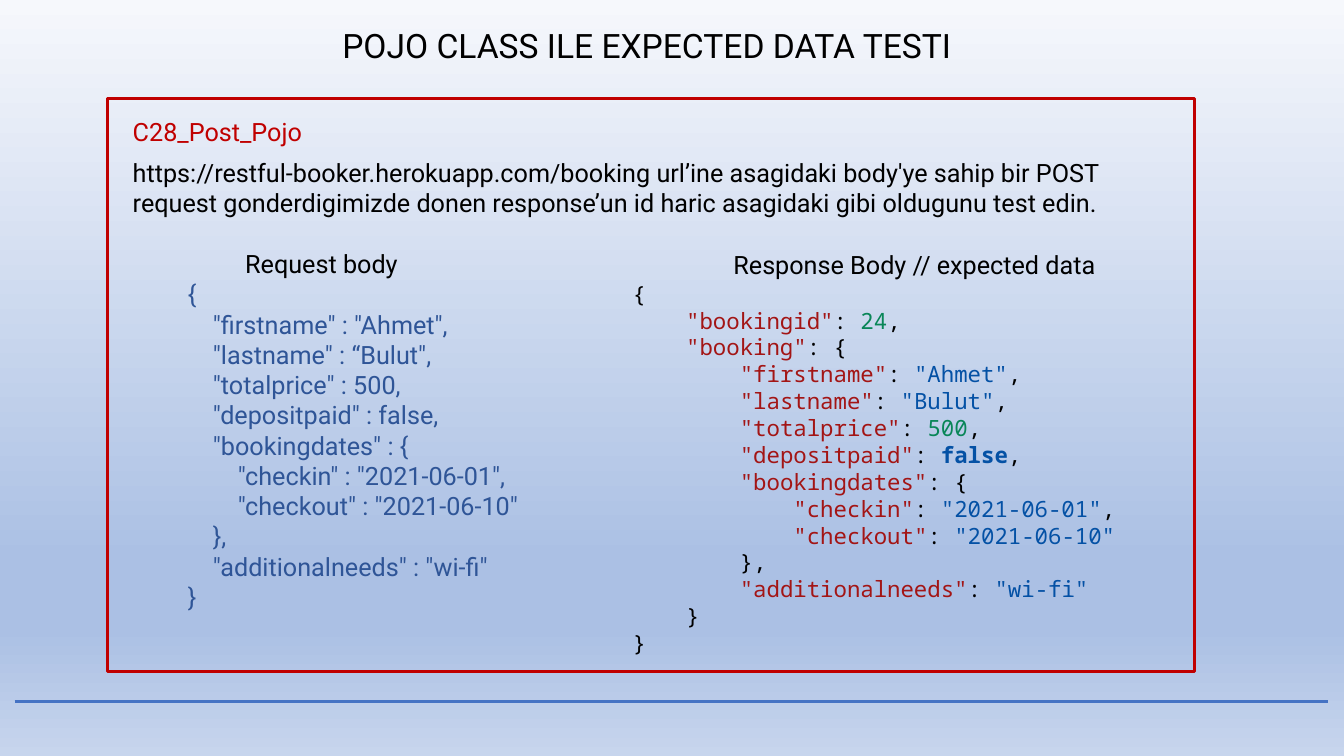
from lxml.etree import SubElement
from pptx import Presentation
from pptx.dml.color import RGBColor
from pptx.enum.shapes import MSO_CONNECTOR, MSO_SHAPE
from pptx.enum.text import PP_ALIGN
from pptx.oxml.ns import qn
from pptx.util import Pt

PX = 9525
BLACK = RGBColor(0, 0, 0)
RED = RGBColor(0xC0, 0x00, 0x00)
RULE_BLUE = RGBColor(0x44, 0x72, 0xC4)
BODY_BLUE = RGBColor(0x2F, 0x55, 0x97)
KEY_RED = RGBColor(0xA3, 0x15, 0x15)
STRING_BLUE = RGBColor(0x04, 0x51, 0xA5)
NUMBER_GREEN = RGBColor(0x09, 0x86, 0x58)
BACKGROUND_STOPS = [
    (0, RGBColor(0xF6, 0xF8, 0xFC)),
    (74, RGBColor(0xAB, 0xC0, 0xE4)),
    (83, RGBColor(0xAB, 0xC0, 0xE4)),
    (100, RGBColor(0xC7, 0xD5, 0xED)),
]
SANS = "Roboto"
MONO = "Noto Sans Mono"
HEADING_INDENT = 96

TASK = ("https://restful-booker.herokuapp.com/booking url’ine asagidaki body'ye sahip "
        "bir POST request gonderdigimizde donen response’un id haric asagidaki gibi "
        "oldugunu test edin.")

REQUEST_LINES = """\
       {
           "firstname" : "Ahmet",
           "lastname" : “Bulut",
           "totalprice" : 500,
           "depositpaid" : false,
           "bookingdates" : {
               "checkin" : "2021-06-01",
               "checkout" : "2021-06-10"
           },
           "additionalneeds" : "wi-fi"
       }""".split("\n")

# depth, key, value, closing punctuation
RESPONSE_LINES = [
    (0, "", "", "{"),
    (1, '"bookingid"', "24", ","),
    (1, '"booking"', "", "{"),
    (2, '"firstname"', '"Ahmet"', ","),
    (2, '"lastname"', '"Bulut"', ","),
    (2, '"totalprice"', "500", ","),
    (2, '"depositpaid"', "false", ","),
    (2, '"bookingdates"', "", "{"),
    (3, '"checkin"', '"2021-06-01"', ","),
    (3, '"checkout"', '"2021-06-10"', ""),
    (2, "", "", "},"),
    (2, '"additionalneeds"', '"wi-fi"', ""),
    (1, "", "", "}"),
    (0, "", "", "}"),
]


def px(*lengths):
    return [n * PX for n in lengths]


def add_run(p, text, color=BLACK, size=18, font=SANS, bold=False):
    r = p.add_run()
    r.text = text
    r.font.name = font
    r.font.size = Pt(size)
    r.font.bold = bold
    r.font.color.rgb = color


def add_text_frame(s, box):
    tf = s.shapes.add_textbox(*px(*box)).text_frame
    tf.word_wrap = True
    return tf


def add_label(s, box, text, color=BLACK, size=18, align=PP_ALIGN.LEFT):
    p = add_text_frame(s, box).paragraphs[0]
    p.alignment = align
    add_run(p, text, color, size)


def add_code_frame(s, box, heading):
    """Text box opened by an indented heading, ready for lines of code."""
    tf = add_text_frame(s, box)
    p = tf.paragraphs[0]
    p._p.get_or_add_pPr().set("marL", str(HEADING_INDENT * PX))
    add_run(p, heading)
    return tf


def add_request(s, box):
    tf = add_code_frame(s, box, "Request body")
    for line in REQUEST_LINES:
        add_run(tf.add_paragraph(), line, BODY_BLUE)


def add_response(s, box):
    tf = add_code_frame(s, box, "Response Body // expected data")
    for depth, key, value, closing in RESPONSE_LINES:
        color = NUMBER_GREEN if value.isdigit() else STRING_BLUE
        parts = [
            (" " * 4 * depth, BLACK, False),
            (key, KEY_RED, False),
            (": " if key else "", BLACK, False),
            (value, color, value == "false"),
            (closing, BLACK, False),
        ]
        p = tf.add_paragraph()
        for text, part_color, bold in parts:
            if text:
                add_run(p, text, part_color, 16, MONO, bold)


def add_task_panel(s, box):
    x, y, w, h = box
    frame = s.shapes.add_shape(MSO_SHAPE.RECTANGLE, *px(*box))
    frame.shadow.inherit = False
    frame.fill.background()
    frame.line.color.rgb = RED
    frame.line.width = Pt(2.25)
    add_label(s, (x + 15, y + 12, 541, 38), "C28_Post_Pojo", RED)
    add_label(s, (x + 15, y + 51, w - 29, 68), TASK)
    add_request(s, (x + 26, y + 138, 391, 359))
    add_response(s, (x + 491, y + 139, 504, 400))


def add_footer_rule(s, x1, x2, y):
    rule = s.shapes.add_connector(MSO_CONNECTOR.STRAIGHT, *px(x1, y, x2, y))
    rule.line.color.rgb = RULE_BLUE
    rule.line.width = Pt(2.25)
    SubElement(rule._element.spPr, qn("a:effectLst"))


def set_background(s):
    fill = s.background.fill
    fill.gradient()
    fill.gradient_angle = 270
    stops = s._element.find(".//" + qn("a:gsLst"))
    for stop in list(stops):
        stops.remove(stop)
    for percent, color in BACKGROUND_STOPS:
        stop = SubElement(stops, qn("a:gs"), pos=str(percent * 1000))
        SubElement(stop, qn("a:srgbClr"), val=str(color))


def main():
    prs = Presentation()
    prs.slide_width, prs.slide_height = px(1280, 720)
    s = prs.slides.add_slide(prs.slide_layouts[6])
    set_background(s)
    add_footer_rule(s, 14, 1265, 668)
    add_task_panel(s, (102, 94, 1036, 546))
    add_label(s, (267, 19, 698, 48), "POJO CLASS ILE EXPECTED DATA TESTI",
              size=24, align=PP_ALIGN.CENTER)
    prs.save("out.pptx")


if __name__ == "__main__":
    main()
